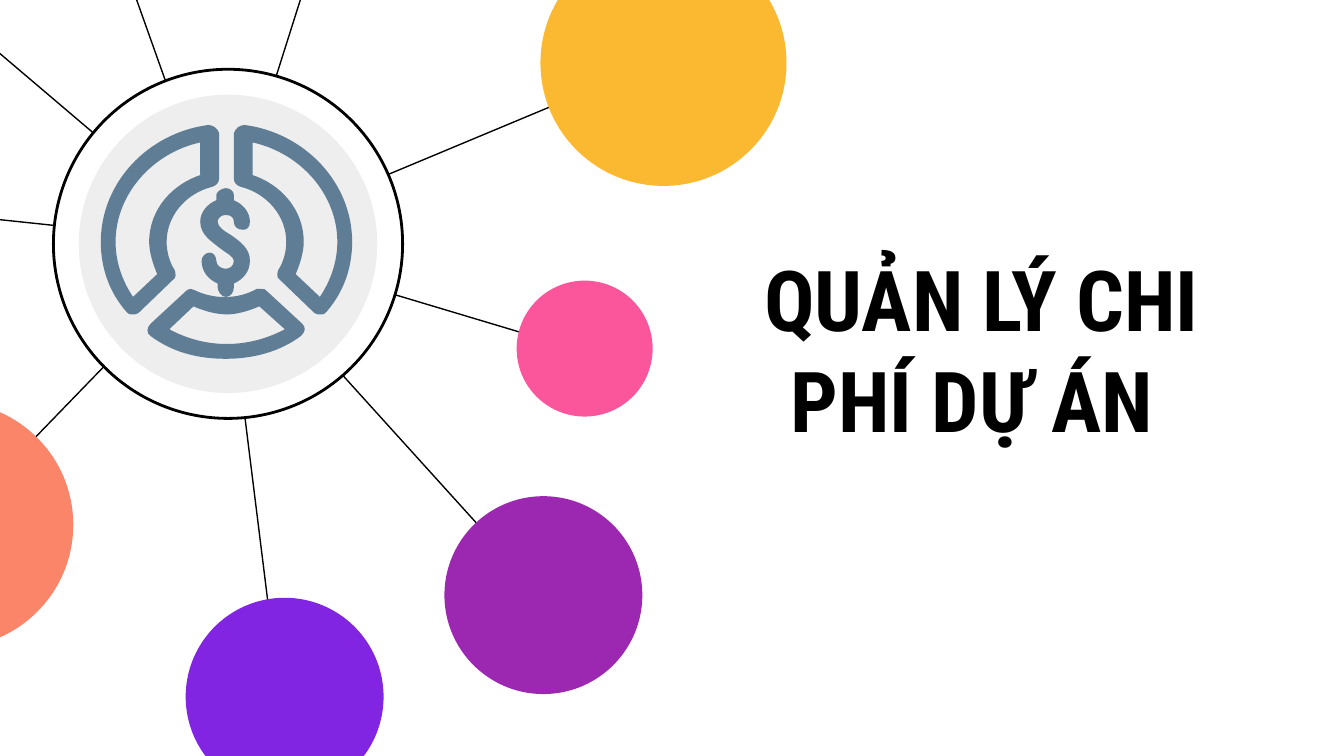
from pptx import Presentation
from pptx import util as u
from pptx.dml.color import RGBColor
from pptx.enum import shapes, text
from pptx.oxml.ns import qn
from lxml import etree

Cm = u.Cm
HEX = {"ink": "000000", "white": "FFFFFF", "disc": "EEEEEE", "icon": "5F7D95",
       "gold": "FBB831", "coral": "FB8569", "plum": "9C27B0",
       "violet": "8225E2", "pink": "FB569C"}
HUB = (4.31, 4.61)
ROOT = (4.22, 4.6)  # where all spokes meet, behind the hub

# Spoke end, then bubble centre, diameter and colour; bare spokes run off the slide
NODES = [
    ((12.67, 1.07), ((12.54, 1.19), 4.65, "gold")),
    ((-1.04, 10.03), ((-0.94, 9.92), 4.65, "coral")),
    ((6.4, -2.29), None),
    ((-2.57, -1.17), None),
    ((10.31, 11.33), ((10.27, 11.25), 3.74, "plum")),
    ((5.31, 13.36), ((5.38, 13.17), 3.74, "violet")),
    ((-2.29, 3.91), None),
    ((11, 6.63), ((11.05, 6.59), 2.57, "pink")),
    ((2.06, -1.47), None),
]

# Icon outlines, in units of UNIT; the right sector mirrors the left one
UNIT = Cm(0.0254)
AXIS = 168.5
SECTOR = """M 149 106 L 149 130 L 150 130 C 128 137 111 156 111 180
C 111 188 114 197 117 204 L 99 221 C 91 209 86 195 86 180 C 86 145 113 114 149 106
M 155 93 C 110 99 75 136 75 180 C 75 199 81 217 94 232 C 95 234 97 234 98 234
C 100 234 102 234 103 233 L 129 208 C 131 207 131 204 130 201
C 126 195 124 187 124 180 C 124 161 138 144 158 139 C 161 138 163 136 163 133
L 163 99 C 162 96 159 93 155 93"""
BASE = """M 193 228 L 212 245 C 199 252 184 256 169 256 C 153 256 139 252 126 245
L 144 228 C 151 231 160 234 169 234 C 177 234 186 231 193 228
M 194 215 C 193 215 192 215 191 215 C 184 219 176 221 168 221
C 167 221 167 221 166 221 C 159 221 151 219 145 216 C 144 216 143 215 142 215
C 140 215 139 216 138 217 L 112 241 C 109 244 109 248 112 250
C 128 262 147 267 168 267 C 188 267 208 262 224 250 C 227 247 228 244 225 241
L 199 217 C 198 215 196 215 194 215"""
DOLLAR = """M 168 140 C 165 140 161 143 161 145 L 161 149 C 154 152 149 158 149 165
C 149 175 158 180 164 185 C 168 188 174 191 174 194 C 174 198 171 200 168 200
C 165 200 161 198 161 194 C 161 191 159 188 156 188 C 153 188 150 191 150 194
C 150 202 155 208 162 211 L 162 214 C 162 217 165 221 168 221
C 172 221 174 217 174 214 L 174 211 C 181 208 186 202 186 194
C 186 185 179 180 172 175 C 167 172 162 169 162 165 C 162 162 165 160 168 160
C 172 160 174 162 174 165 C 174 169 177 171 181 171 C 184 171 186 169 186 165
C 186 158 181 152 174 149 L 174 145 C 174 143 172 140 168 140"""


def rgb(name):
    return RGBColor.from_string(HEX[name])


def paint(shape, fill, line=None, width=1.5):
    shape.shadow.inherit = False
    shape.fill.solid()
    shape.fill.fore_color.rgb = rgb(fill)
    if line:
        shape.line.color.rgb = rgb(line)
        shape.line.width = u.Pt(width)
    else:
        shape.line.fill.background()


def circle(slide, mid, size, fill, line=None):
    x, y = (Cm(c - size / 2) for c in mid)
    oval = slide.shapes.add_shape(shapes.MSO_SHAPE.OVAL, x, y, Cm(size), Cm(size))
    paint(oval, fill, line)


def spoke(slide, end):
    line = slide.shapes.add_connector(
        shapes.MSO_CONNECTOR.STRAIGHT, *(Cm(c) for c in end + ROOT))
    line.line.color.rgb = rgb("ink")
    line.line.width = u.Pt(0.75)
    etree.SubElement(line._element.spPr, qn("a:effectLst"))


def steps(path, flip):
    """Split a path into its commands, each with its points on the slide."""
    for mark in "MLC":
        path = path.replace(mark, "|" + mark)
    for part in path.split("|")[1:]:
        nums = [int(n) for n in part[1:].split()]
        pts = zip(nums[::2], nums[1::2])
        yield part[0], [(round((2 * AXIS - x if flip else x) * UNIT), y * UNIT)
                        for x, y in pts]


def curve(node, pts):
    """Turn a straight segment into a cubic one."""
    node.tag = qn("a:cubicBezTo")
    for old in list(node):
        node.remove(old)
    for x, y in pts:
        etree.SubElement(node, qn("a:pt"), x=str(x), y=str(y))


def glyph(slide, path, flip=False):
    cmds = list(steps(path, flip))
    pen = slide.shapes.build_freeform(*cmds[0][1][0], scale=1.0)
    for i, (mark, pts) in enumerate(cmds[1:], 1):
        if mark == "M":
            pen.move_to(*pts[0])
        else:
            last = i + 1 == len(cmds) or cmds[i + 1][0] == "M"
            pen.add_line_segments(pts[-1:], close=last)
    shape = pen.convert_to_shape()
    nodes = shape._element.iter(qn("a:moveTo"), qn("a:lnTo"))
    for node, (mark, pts) in zip(list(nodes), cmds):
        if mark == "C":
            curve(node, [(x - shape.left, y - shape.top) for x, y in pts])
    paint(shape, "icon")


def write(shape, words, size=45, font="Roboto Condensed", color="ink", bold=True):
    frame = shape.text_frame
    frame.word_wrap = True
    frame.auto_size = text.MSO_AUTO_SIZE.NONE
    frame.vertical_anchor = text.MSO_ANCHOR.MIDDLE
    frame.margin_left = frame.margin_right = Cm(0.25)
    frame.margin_top = frame.margin_bottom = Cm(0.25)
    para = frame.paragraphs[0]
    para.alignment = text.PP_ALIGN.CENTER
    run = para.add_run()
    run.text = words
    run.font.size = u.Pt(size)
    run.font.name = font
    run.font.bold = bold
    run.font.color.rgb = rgb(color)


def main():
    deck = Presentation()
    deck.slide_width, deck.slide_height = Cm(25.4), Cm(14.29)
    slide = deck.slides.add_slide(deck.slide_layouts[5])

    title = slide.shapes.title
    title.left, title.top = Cm(13.23), Cm(3.58)
    title.width, title.height = Cm(10.64), Cm(6.02)
    write(title, "QUẢN LÝ CHI PHÍ DỰ ÁN ")

    for end, bubble in NODES:
        spoke(slide, end)
        if bubble:
            circle(slide, *bubble)

    circle(slide, HUB, 6.6, "white", line="ink")
    circle(slide, HUB, 5.64, "disc")
    glyph(slide, SECTOR)
    glyph(slide, BASE)
    glyph(slide, SECTOR, flip=True)
    glyph(slide, DOLLAR)

    deck.save("out.pptx")


if __name__ == "__main__":
    main()
